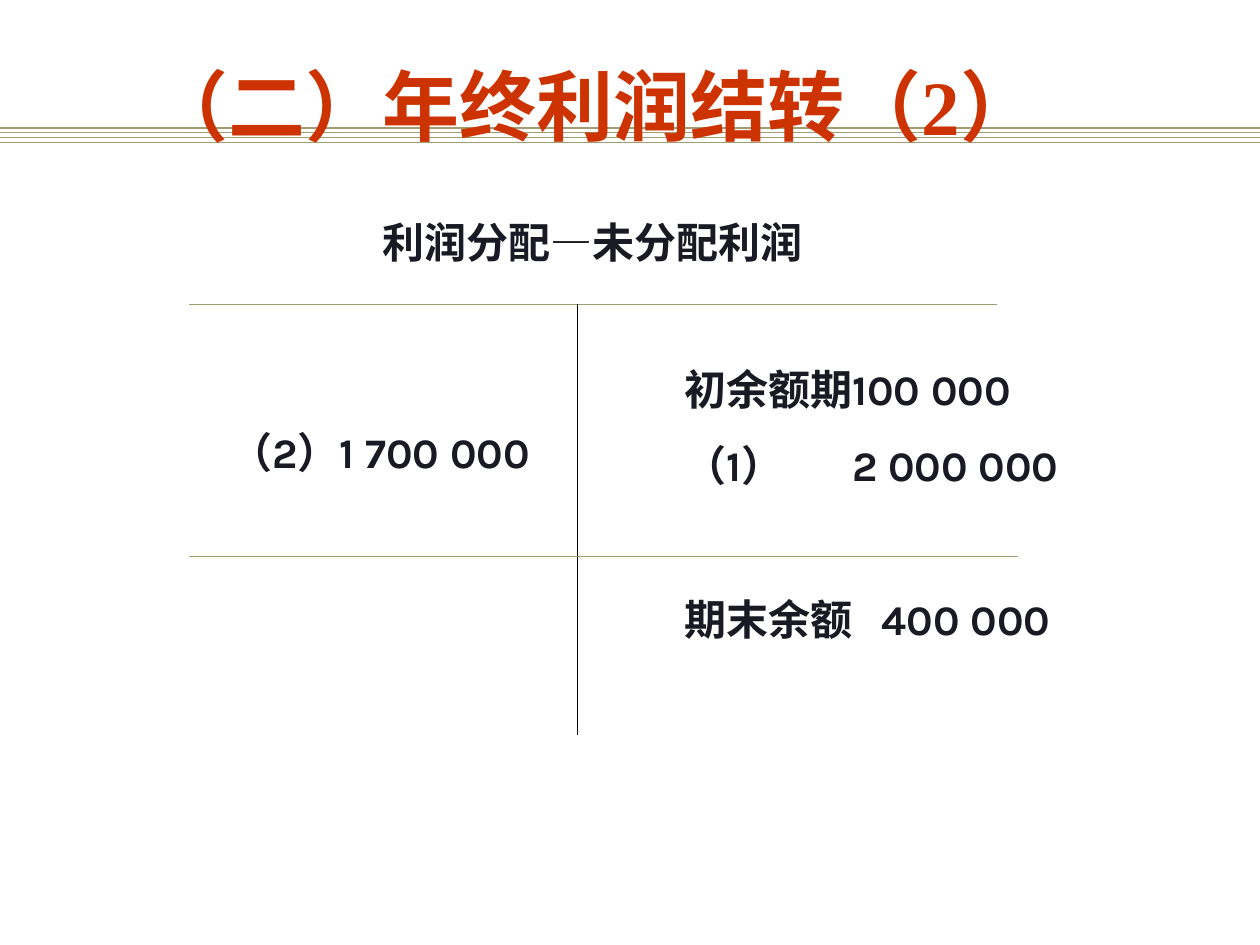
from dataclasses import dataclass

from lxml.etree import SubElement
from pptx import Presentation
from pptx.dml.color import RGBColor as Color
from pptx.enum.shapes import MSO_CONNECTOR as Connector
from pptx.enum.text import MSO_AUTO_SIZE as AutoSize, PP_ALIGN as Align
from pptx.oxml.ns import qn
from pptx.util import Inches, Pt


@dataclass(frozen=True)
class Theme:
    title_font: str = "Times New Roman"
    body_font: str = "Karla"
    title_color: str = "CC3300"
    body_color: str = "1A1A24"
    rule_color: str = "A19C71"
    stem_color: str = "000000"
    title_size: int = 44
    body_size: int = 24
    gap: int = 15
    rule_width: float = 0.75


def write(para, text, *, font, size, color, align=Align.LEFT,
          before=0, tab=None):
    """Put one formatted run in a paragraph, with an optional tab stop."""
    para.alignment = align
    if before:
        para.space_before = Pt(before)
    if tab is not None:
        stops = SubElement(para._p.get_or_add_pPr(), qn("a:tabLst"))
        SubElement(stops, qn("a:tab"), pos=str(tab), algn="l")
    span = para.add_run()
    span.text = text
    span.font.name, span.font.size, span.font.bold = font, Pt(size), True
    span.font.color.rgb = Color.from_string(color)


class SlideBuilder:
    """Places elements on a grid of 120 columns by 90 rows."""
    COLUMNS, ROWS = 120, 90

    def __init__(self, deck, theme):
        self.theme = theme
        self.column = deck.slide_width / self.COLUMNS
        self.row = deck.slide_height / self.ROWS
        self.page = deck.slides.add_slide(deck.slide_layouts[6])

    def x(self, columns):
        return round(columns * self.column)

    def y(self, rows):
        return round(rows * self.row)

    def line(self, start, end, color):
        (left, top), (right, bottom) = start, end
        rule = self.page.shapes.add_connector(
            Connector.STRAIGHT, self.x(left), self.y(top),
            self.x(right), self.y(bottom))
        rule.line.color.rgb = Color.from_string(color)
        rule.line.width = Pt(self.theme.rule_width)
        SubElement(rule._element.spPr, qn("a:effectLst"))

    def frame(self, left, top, width, height, wrap=False):
        box = self.page.shapes.add_textbox(
            self.x(left), self.y(top), self.x(width), self.y(height))
        box.text_frame.word_wrap = wrap
        box.text_frame.auto_size = AutoSize.NONE
        return box.text_frame

    def title(self, text, *place):
        theme = self.theme
        write(self.frame(*place, wrap=True).paragraphs[0], text,
              font=theme.title_font, size=theme.title_size,
              color=theme.title_color, align=Align.CENTER)

    def entry(self, para, text, **style):
        theme = self.theme
        write(para, text, font=theme.body_font, size=theme.body_size,
              color=theme.body_color, **style)

    def label(self, text, *place):
        self.entry(self.frame(*place).paragraphs[0], text, align=Align.CENTER)

    def entries(self, rows, *place):
        """Rows are (text, space before, tab column or None)."""
        body = self.frame(*place, wrap=True)
        for index, (text, before, tab) in enumerate(rows):
            para = body.add_paragraph() if index else body.paragraphs[0]
            stop = None if tab is None else self.x(tab)
            self.entry(para, text, before=before, tab=stop)


def main():
    theme = Theme()
    deck = Presentation()
    deck.slide_width, deck.slide_height = Inches(10), Inches(7.5)
    slide = SlideBuilder(deck, theme)

    # Band of rules behind the title
    for index in range(4):
        level = 12.2 + 0.45 * index
        slide.line((0, level), (slide.COLUMNS, level), theme.rule_color)

    # Headings
    slide.title("（二）年终利润结转（2）", 8.6, 5, 96, 10)
    slide.label("利润分配—未分配利润", 35.2, 20, 42.4, 10.8)

    # T-account: stem, top rule and joint
    left, stem, top = 18, 55, 29
    slide.line((stem, top), (stem, 70), theme.stem_color)
    slide.line((left, top), (95, top), theme.rule_color)
    slide.line((stem, top + 1), (stem, top), theme.stem_color)

    # Debit and credit sides, the closing balance one line lower
    slide.label("（2）1 700 000", 19.2, 40, 34, 6)
    slide.entries([
        ("初余额期100 000", 0, None),
        ("（1）\t2 000 000", theme.gap, 16),
        ("期末余额\t400 000", 59, 18.8),
    ], 64, 34, 41, 28)

    # Balance rule
    slide.line((left, 53), (97, 53), theme.rule_color)

    deck.save("out.pptx")


if __name__ == "__main__":
    main()
